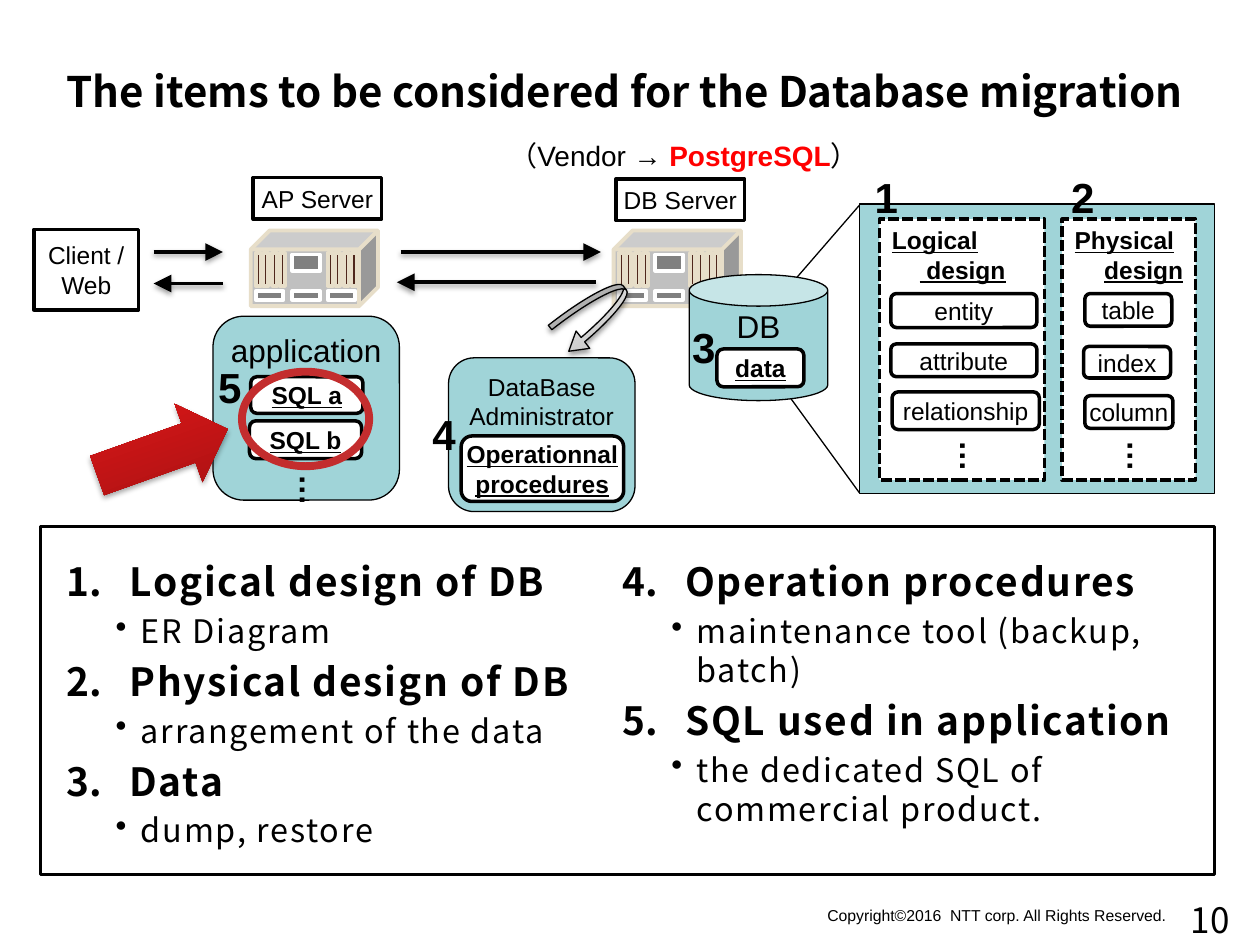
from lxml.etree import SubElement
from pptx import Presentation
from pptx.dml.color import RGBColor
from pptx.enum.dml import MSO_LINE
from pptx.enum.shapes import MSO_CONNECTOR, MSO_SHAPE
from pptx.enum.text import MSO_ANCHOR, PP_ALIGN
from pptx.oxml.ns import qn
from pptx.util import Emu, Pt

PX = 9144  # 100 px to the inch
SANS, NOTO = "Arial", "Noto Sans CJK JP"
BLACK, WHITE, TEAL, RED = "000000", "FFFFFF", "A0D4D8", "FF0000"
RECT, ROUND = MSO_SHAPE.RECTANGLE, MSO_SHAPE.ROUNDED_RECTANGLE
TOP, LEFT = MSO_ANCHOR.TOP, PP_ALIGN.LEFT
color = RGBColor.from_string


def box(home, kind, at, fill=None, line=None, width=2, text="", align=PP_ALIGN.CENTER,
        anchor=MSO_ANCHOR.MIDDLE, wrap=False, size=14, name=SANS, **style):
    """Add a shape, or a text box when kind is None; each line of text is a paragraph."""
    place = [Emu(n * PX) for n in at]
    if kind is None:
        shape = home.add_textbox(*place)
    else:
        shape = home.add_shape(kind, *place)
        shape.shadow.inherit = False
        if fill:
            shape.fill.solid()
            shape.fill.fore_color.rgb = color(fill)
        else:
            shape.fill.background()
        if line:
            shape.line.color.rgb = color(line)
            shape.line.width = Pt(width)
        else:
            shape.line.fill.background()
    if text:
        frame = shape.text_frame
        frame.word_wrap, frame.vertical_anchor = wrap, anchor
        frame.text = text
        for para in frame.paragraphs:
            para.alignment = align
            font = para.runs[0].font
            for key, value in {"size": Pt(size), "name": name, **style}.items():
                setattr(font, key, value)
            font.color.rgb = color(BLACK)
    return shape


def shade(shape, alpha=38):
    """Cast a soft shadow straight down."""
    props = shape._element.spPr
    glow = props.find(qn("a:effectLst"))
    if glow is None:
        glow = SubElement(props, qn("a:effectLst"))
    cast = SubElement(glow, qn("a:outerShdw"), blurRad="39370", dist="20320",
                      dir="5400000", rotWithShape="0")
    tint = SubElement(cast, qn("a:srgbClr"), val=BLACK)
    SubElement(tint, qn("a:alpha"), val=str(alpha * 1000))


deck = Presentation()
deck.slide_width, deck.slide_height = Emu(1000 * PX), Emu(750 * PX)
page = deck.slides.add_slide(deck.slide_layouts[6]).shapes

# Footer and title
box(page, None, (933, 714, 55, 32), text="10", size=20, name=NOTO)
box(page, None, (645, 714, 292, 25), size=9,
    text="Copyright©2016  NTT corp. All Rights Reserved.")
box(page, None, (43, 11, 945, 86), text="The items to be considered for the Database migration",
    size=24, name=NOTO, bold=True, align=LEFT, anchor=MSO_ANCHOR.BOTTOM, wrap=True)

# Zoom lines and arrows
for x1, y1, x2, y2, arrow in [
    (630, 223, 682, 163, False),
    (626, 314, 682, 391, False),
    (318, 200, 477, 200, True),
    (473, 224, 315, 224, True),
    (122, 200, 177, 200, True),
    (177, 225, 122, 225, True),
]:
    link = page.add_connector(MSO_CONNECTOR.STRAIGHT, *[Emu(n * PX) for n in (x1, y1, x2, y2)])
    link.line.color.rgb = color(BLACK)
    link.line.width = Pt(2 if arrow else 0.75)
    if arrow:
        SubElement(link.line._get_or_add_ln(), qn("a:tailEnd"), type="triangle", w="lg", len="lg")
        shade(link)
    else:
        SubElement(link._element.spPr, qn("a:effectLst"))

# List of items in two columns
box(page, RECT, (32, 418, 932, 276), WHITE, BLACK)
columns = [
    (43, 448, 1, [("Logical design of DB", "ER Diagram"),
                  ("Physical design of DB", "arrangement of the data"),
                  ("Data", "dump, restore")]),
    (484, 491, 4, [("Operation procedures", "maintenance tool (backup, batch)"),
                   ("SQL used in application", "the dedicated SQL of commercial product.")]),
]
for x, wide, first, items in columns:
    lines = "\n".join(line for item in items for line in item)
    body = box(page, None, (x, 438, wide, 250), text=lines, name=NOTO,
               align=LEFT, anchor=TOP, wrap=True)
    for i, para in enumerate(body.text_frame.paragraphs):
        head = i % 2 == 0
        size = 22.2 if head else 18.5
        para.level = 0 if head else 1
        para.space_before = Pt(round(size * 0.2, 1) if i else 0)
        props = para._p.get_or_add_pPr()
        props.set("marL", str((50 if head else 59) * PX))
        props.set("indent", str((-50 if head else -20) * PX))
        if head:
            SubElement(props, qn("a:buAutoNum"), type="arabicPeriod", startAt=str(first + i // 2))
        else:
            SubElement(props, qn("a:buChar"), char="•")
        run = para.runs[0]
        run.font.size, run.font.bold = Pt(size), head
        run._r.get_or_add_rPr().set("spc", "100")

# Servers
for x, y, name in [(199, 141, "AP Server"), (487, 142, "DB Server")]:
    box(page, RECT, (x + 2, y, 102, 33), WHITE, BLACK, text=name)
    rack = page.add_group_shape().shapes
    box(rack, MSO_SHAPE.CUBE, (x, 183, 101, 60), "C0C0C0", "E7DEC9", 2.25)
    for dx in (4, 33, 61):
        box(rack, RECT, (x + dx, 231, 22, 7), "808080", WHITE, 2.25)
    for dx in (4, 10, 17, 23, 61, 67, 74, 80):
        box(rack, RECT, (x + dx, 201, 4, 26), "4F271C", "E7DEC9", 2.25)
    box(rack, RECT, (x + 33, 202, 22, 13), "808080", WHITE, 2.25)
box(page, RECT, (27, 182, 83, 64), WHITE, BLACK, text="Client /\nWeb")

# Source and target of the migration
move = box(page, None, (398, 105, 290, 36), text="（Vendor → ", size=16, wrap=True)
move.text_frame.margin_left = move.text_frame.margin_right = 0
for text, tint, bold in [("PostgreSQL", RED, True), ("）", BLACK, False)]:
    run = move.text_frame.paragraphs[0].add_run()
    run.text = text
    for key, value in {"size": Pt(16), "name": SANS, "bold": bold}.items():
        setattr(run.font, key, value)
    run.font.color.rgb = color(tint)

# Database and its design
can = box(page, MSO_SHAPE.CAN, (547, 218, 110, 100), TEAL, BLACK, 0.75, "DB", size=18, anchor=TOP)
can.text_frame.margin_top = Emu(PX)
box(page, RECT, (682, 162, 282, 230), TEAL, BLACK, 0.75)
for x, wide, text in [(698, 131, "Logical\n design"), (843, 106, "Physical\ndesign")]:
    panel = box(page, RECT, (x, 174, wide, 207), WHITE, BLACK, text=text, align=LEFT,
                anchor=TOP, wrap=True, bold=True, underline=True)
    panel.line.dash_style = MSO_LINE.SQUARE_DOT
    panel.line._get_or_add_ln().find(qn("a:prstDash")).set("val", "sysDash")
    last = panel.text_frame.paragraphs[1]
    if text.startswith("Logical"):
        last._p.get_or_add_pPr().set("marL", str(22 * PX))
    else:
        last.alignment = PP_ALIGN.RIGHT

# Application and administrator
box(page, ROUND, (169, 251, 148, 146), TEAL, BLACK, 0.75, "application", size=18, anchor=TOP)
box(page, ROUND, (356, 284, 148, 122), TEAL, BLACK, 0.75, "DataBase\nAdministrator", anchor=TOP)
for at, text, strong in [
    ((199, 299, 89, 29), "SQL a", True),
    ((198, 334, 89, 30), "SQL b", True),
    ((569, 277, 69, 30), "data", True),
    ((366, 346, 129, 52), "Operationnal\nprocedures", True),
    ((707, 233, 116, 27), "entity", False),
    ((707, 273, 116, 26), "attribute", False),
    ((708, 311, 117, 30), "relationship", False),
    ((861, 233, 69, 26), "table", False),
    ((860, 275, 69, 25), "index", False),
    ((861, 314, 70, 26), "column", False),
]:
    box(page, ROUND, at, WHITE, BLACK, text=text, bold=strong, underline=strong)
for x, y in [(228, 370), (752, 343), (885, 343)]:
    box(page, None, (x, y, 40, 33), text="…", size=18, bold=True).rotation = 90

# Block arrows and the ring round the SQL
curve = box(page, MSO_SHAPE.CURVED_LEFT_ARROW, (439, 234, 66, 35), WHITE, BLACK, 0.75)
for i, value in enumerate((0.128, 0.5, 0.415)):
    curve.adjustments[i] = value
point = box(page, MSO_SHAPE.RIGHT_ARROW, (74, 326, 110, 66))
for shape, turn, alpha, stops in [
    (curve, 321.8, 38, [(0, "BDBDBD"), (1, "EEEEEE")]),
    (point, 340.4, 35, [(0, "A21112"), (0.8, "D31617")]),
]:
    shape.rotation = turn
    shape.fill.gradient()
    shape.fill.gradient_angle = 90
    for stop, (spot, tint) in zip(shape.fill.gradient_stops, stops):
        stop.position, stop.color.rgb = spot, color(tint)
    shade(shape, alpha)
box(page, MSO_SHAPE.OVAL, (192, 295, 101, 75), None, "C32D2E", 4.5)

# Item numbers
for text, x, y in [("1", 682, 138), ("2", 838, 138), ("5", 161, 289),
                   ("3", 537, 257), ("4", 331, 326)]:
    box(page, None, (x, y, 43, 36), text=text, size=24, bold=True)

deck.save("out.pptx")
